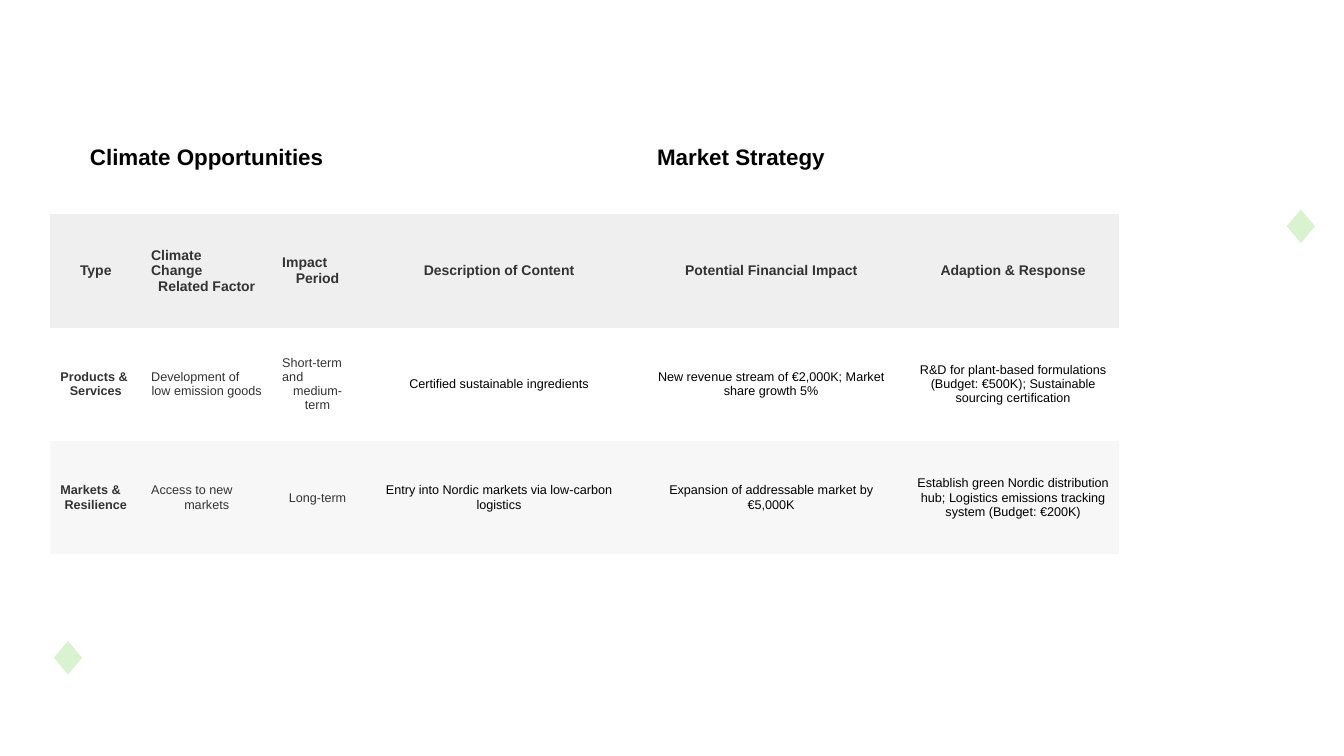
from dataclasses import dataclass

from pptx import Presentation
from pptx.dml.color import RGBColor
from pptx.enum.shapes import MSO_SHAPE
from pptx.enum.text import MSO_ANCHOR, PP_ALIGN
from pptx.oxml.ns import qn
from pptx.shapes.autoshape import Shape
from pptx.slide import Slide
from pptx.table import Table
from pptx.util import Inches, Pt
from lxml import etree

ARC, DIAMOND = MSO_SHAPE.ARC, MSO_SHAPE.DIAMOND
CENTER, MIDDLE = PP_ALIGN.CENTER, MSO_ANCHOR.MIDDLE

BLACK = RGBColor(0x00, 0x00, 0x00)
CHARCOAL = RGBColor(0x33, 0x33, 0x33)
WHITE = RGBColor(0xFF, 0xFF, 0xFF)
HEADER_GRAY = RGBColor(0xEF, 0xEF, 0xEF)
BAND_GRAY = RGBColor(0xF7, 0xF7, 0xF7)
PALE_GREEN = RGBColor(0xD9, 0xF2, 0xD0)

# The grid has square cells, ten to the inch
CELL = Inches(0.1)
SLIDE_COLUMNS, SLIDE_ROWS = 133.33, 75
TABLE_LEFT, TABLE_TOP = 5, 10
COLUMN_SPANS = (9, 13, 9, 27, 27, 21)
ROW_SPAN = 11.25
GROUP_SIZE = 3
PLAIN_TABLE_STYLE = "{2D5ABB26-0587-4C30-8999-92F81FD0307C}"


@dataclass(frozen=True)
class Decoration:
    kind: MSO_SHAPE
    column: float
    row: float
    columns: float
    rows: float


@dataclass(frozen=True)
class TableRow:
    texts: tuple[str, ...]
    fill: RGBColor
    size: int
    bold_cells: int  # leading cells in bold
    dark_cells: int  # leading cells in charcoal


SWEEP = Decoration(ARC, 109, -33.8, 40, 49.7)
DIAMONDS = (
    Decoration(DIAMOND, 127.5, 20.6, 3.1, 3.7),
    Decoration(DIAMOND, 5.2, 63.4, 3.1, 3.7),
)

TABLE_ROWS = (
    TableRow(("Climate Opportunities", "", "", "Market Strategy", "", ""),
             WHITE, 16, 6, 0),
    TableRow(("Type", "Climate\nChange\nRelated Factor", "Impact\nPeriod",
              "Description of Content", "Potential Financial Impact",
              "Adaption & Response"),
             HEADER_GRAY, 10, 6, 6),
    TableRow(("Products &\nServices", "Development of\nlow emission goods",
              "Short-term\nand\nmedium-term",
              "Certified sustainable ingredients",
              "New revenue stream of €2,000K; Market share growth 5%",
              "R&D for plant-based formulations (Budget: €500K); "
              "Sustainable sourcing certification"),
             WHITE, 9, 1, 3),
    TableRow(("Markets &\nResilience", "Access to new\nmarkets", "Long-term",
              "Entry into Nordic markets via low-carbon logistics",
              "Expansion of addressable market by €5,000K",
              "Establish green Nordic distribution hub; Logistics emissions "
              "tracking system (Budget: €200K)"),
             BAND_GRAY, 9, 1, 3),
)


def grid(cells: float) -> int:
    return round(cells * CELL)


def add_decoration(slide: Slide, item: Decoration, line_color: RGBColor,
                   line_width: float) -> Shape:
    shape = slide.shapes.add_shape(item.kind, grid(item.column), grid(item.row),
                                   grid(item.columns), grid(item.rows))
    shape.shadow.inherit = False
    shape.line.color.rgb = line_color
    shape.line.width = Pt(line_width)
    return shape


def add_sweep(slide: Slide) -> None:
    shape = add_decoration(slide, SWEEP, PALE_GREEN, 46.25)
    shape.fill.background()
    shape.rotation = 151.3
    # Angles are stored in 60000ths of a degree, adjustments in 100000ths
    for index, degrees in enumerate((152.05, 215.37)):
        shape.adjustments[index] = degrees * 0.6
    color = next(shape.line._ln.iter(qn("a:srgbClr")))
    etree.SubElement(color, qn("a:alpha"), val="60000")


def add_diamond(slide: Slide, item: Decoration) -> None:
    shape = add_decoration(slide, item, WHITE, 1.5)
    shape.fill.solid()
    shape.fill.fore_color.rgb = PALE_GREEN


def fill_row(table: Table, row_index: int, row: TableRow) -> None:
    for column_index, text in enumerate(row.texts):
        cell = table.cell(row_index, column_index)
        cell.fill.solid()
        cell.fill.fore_color.rgb = row.fill
        cell.vertical_anchor = MIDDLE
        if not text:
            continue
        paragraph = cell.text_frame.paragraphs[0]
        paragraph.alignment = CENTER
        run = paragraph.add_run()
        run.text = text
        font_format = {"name": "Arial", "size": Pt(row.size),
                       "bold": column_index < row.bold_cells}
        for attribute, value in font_format.items():
            setattr(run.font, attribute, value)
        is_dark = column_index < row.dark_cells
        run.font.color.rgb = CHARCOAL if is_dark else BLACK


def add_opportunity_table(slide: Slide) -> None:
    frame = slide.shapes.add_table(
        len(TABLE_ROWS), len(COLUMN_SPANS), grid(TABLE_LEFT), grid(TABLE_TOP),
        grid(sum(COLUMN_SPANS)), grid(ROW_SPAN * len(TABLE_ROWS)))
    table = frame.table
    table.first_row = table.horz_banding = False
    next(frame.element.iter(qn("a:tableStyleId"))).text = PLAIN_TABLE_STYLE
    for column, span in zip(table.columns, COLUMN_SPANS):
        column.width = grid(span)
    for row_index, row in enumerate(TABLE_ROWS):
        table.rows[row_index].height = grid(ROW_SPAN)
        fill_row(table, row_index, row)
    # Each title spans a group of columns
    for start in range(0, len(COLUMN_SPANS), GROUP_SIZE):
        table.cell(0, start).merge(table.cell(0, start + GROUP_SIZE - 1))


def main() -> None:
    presentation = Presentation()
    presentation.slide_width = grid(SLIDE_COLUMNS)
    presentation.slide_height = grid(SLIDE_ROWS)
    slide = presentation.slides.add_slide(presentation.slide_layouts[6])

    # Decorations behind the table
    add_sweep(slide)
    for item in DIAMONDS:
        add_diamond(slide, item)

    add_opportunity_table(slide)
    presentation.save("out.pptx")


if __name__ == "__main__":
    main()
